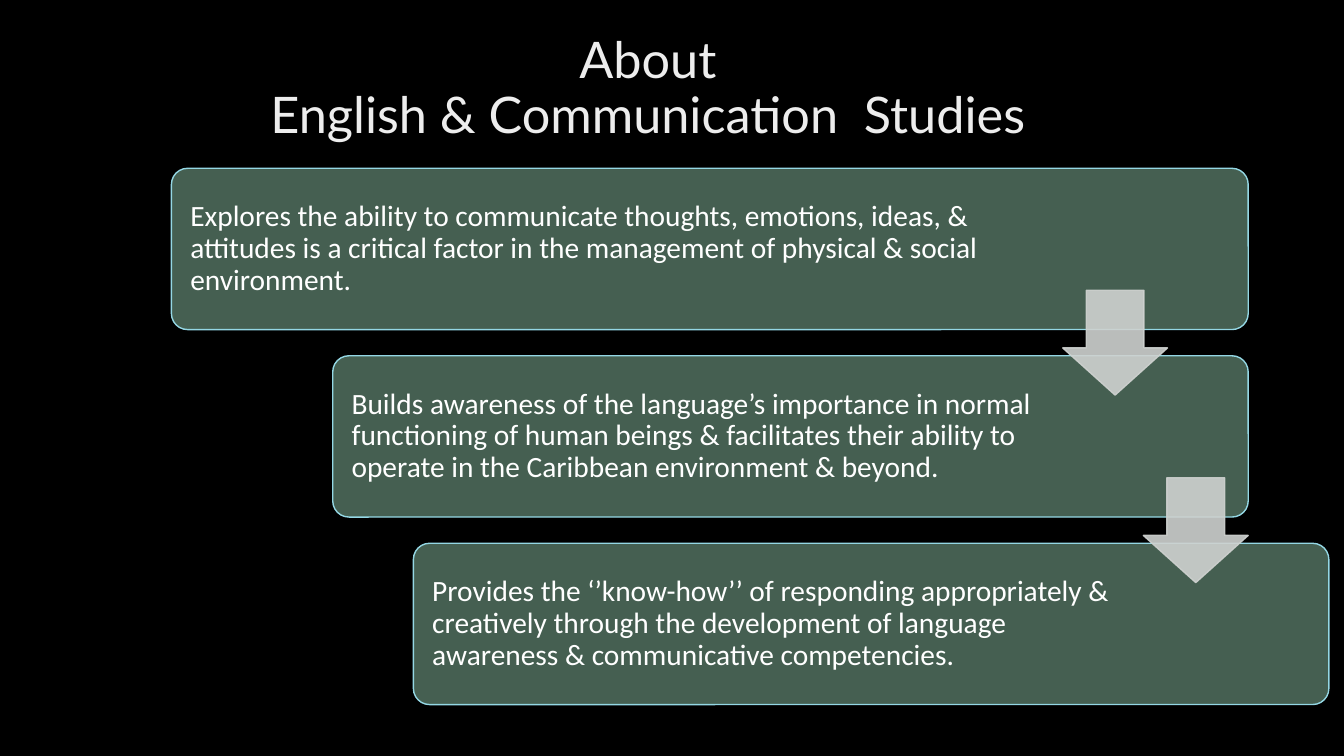
from dataclasses import dataclass

from lxml import etree
from pptx import Presentation
from pptx.dml.color import RGBColor
from pptx.enum.shapes import MSO_SHAPE
from pptx.enum.text import MSO_ANCHOR, MSO_AUTO_SIZE, PP_ALIGN
from pptx.oxml.ns import qn
from pptx.util import Inches, Pt

ROUNDED, DOWN_ARROW = MSO_SHAPE.ROUNDED_RECTANGLE, MSO_SHAPE.DOWN_ARROW
MIDDLE, BOTTOM = MSO_ANCHOR.MIDDLE, MSO_ANCHOR.BOTTOM
LEFT, CENTER = PP_ALIGN.LEFT, PP_ALIGN.CENTER
TITLE_ONLY = 5


@dataclass(frozen=True)
class Theme:
    background: str = "000000"
    title: str = "EDEDED"
    text: str = "FFFFFF"
    card: str = "455F51"
    card_line: str = "94D7E4"
    arrow: str = "CFD2D0"
    title_font: str = "Lato"
    body_font: str = "Calibri"
    title_size: int = 36
    body_size: int = 21


THEME = Theme()
SLIDE_SIZE = 13.33, 7.5
TITLE_BOX = 0.49, 0.26, 12, 1.22
STAIRS_BOX = 1.7, 1.67, 11.48, 5.32

TITLE = "About \vEnglish & Communication  Studies "
# Text, then left and right edge of each card in columns of the staircase
CARDS = [
    ("Explores the ability to communicate thoughts, emotions, ideas, & attitudes "
     "is a critical factor in the management of physical & social environment.", 0, 0),
    ("Builds awareness of the language’s importance in normal functioning of human "
     "beings & facilitates their ability to operate in the Caribbean environment "
     "& beyond.", 2, 0),
    ("Provides the ‘’know-how’’ of responding appropriately & creatively through "
     "the development of language awareness & communicative competencies.", 3, 1),
]
COLUMN = 0.8
CARD_HEIGHT = 1.6
ARROW_SIZE = 1.04
CARD_INSETS = 0.14, 0.09, 2.0, 0.09


def write_text(shape, text, *, font, size, color, align, anchor, insets=None):
    """Fill the shape with one paragraph; insets are left, top, right, bottom."""
    frame = shape.text_frame
    frame.word_wrap = True
    frame.auto_size = MSO_AUTO_SIZE.NONE
    frame.vertical_anchor = anchor
    if insets:
        (frame.margin_left, frame.margin_top,
         frame.margin_right, frame.margin_bottom) = map(Inches, insets)
    paragraph = frame.paragraphs[0]
    paragraph.text = text
    paragraph.alignment = align
    paragraph.line_spacing = 0.9
    for run in paragraph.runs:
        run.font.name = font
        run.font.size = Pt(size)
        run.font.color.rgb = RGBColor.from_string(color)


def add_preset(slide, preset, box, *, fill, line, adjustments, opacity=None):
    shape = slide.shapes.add_shape(preset, *map(Inches, box))
    shape.shadow.inherit = False
    shape.fill.solid()
    shape.fill.fore_color.rgb = RGBColor.from_string(fill)
    shape.line.color.rgb = RGBColor.from_string(line)
    shape.line.width = Pt(1)
    for index, value in enumerate(adjustments):
        shape.adjustments[index] = value
    if opacity:
        for color in shape.element.spPr.iter(qn("a:srgbClr")):
            etree.SubElement(color, qn("a:alpha")).set("val", str(opacity * 1000))
    return shape


def add_title(slide, box):
    title = slide.shapes.title
    title.left, title.top, title.width, title.height = map(Inches, box)
    write_text(title, TITLE, font=THEME.title_font, size=THEME.title_size,
               color=THEME.title, align=CENTER, anchor=BOTTOM)


def add_stairs(slide, box):
    """Place the cards as steps, with an arrow over each gap between them."""
    left, top, width, height = box
    gap = (height - len(CARDS) * CARD_HEIGHT) / (len(CARDS) - 1)
    pitch = CARD_HEIGHT + gap
    first_right = left + width - COLUMN
    for row, (text, left_column, right_column) in enumerate(CARDS):
        card_left = left + left_column * COLUMN
        card_right = first_right + right_column * COLUMN
        card = add_preset(
            slide, ROUNDED,
            (card_left, top + row * pitch, card_right - card_left, CARD_HEIGHT),
            fill=THEME.card, line=THEME.card_line, adjustments=[0.1])
        write_text(card, text, font=THEME.body_font, size=THEME.body_size,
                   color=THEME.text, align=LEFT, anchor=MIDDLE, insets=CARD_INSETS)
    for row in range(len(CARDS) - 1):
        arrow_left = first_right + (row - 1) * COLUMN - ARROW_SIZE
        arrow_top = top + (row + 1) * pitch - (gap + ARROW_SIZE) / 2
        add_preset(slide, DOWN_ARROW, (arrow_left, arrow_top, ARROW_SIZE, ARROW_SIZE),
                   fill=THEME.arrow, line=THEME.arrow, adjustments=[0.55, 0.45],
                   opacity=90)


def main():
    presentation = Presentation()
    presentation.slide_width, presentation.slide_height = map(Inches, SLIDE_SIZE)
    slide = presentation.slides.add_slide(presentation.slide_layouts[TITLE_ONLY])
    slide.background.fill.solid()
    slide.background.fill.fore_color.rgb = RGBColor.from_string(THEME.background)
    add_title(slide, TITLE_BOX)
    add_stairs(slide, STAIRS_BOX)
    presentation.save("out.pptx")


if __name__ == "__main__":
    main()
